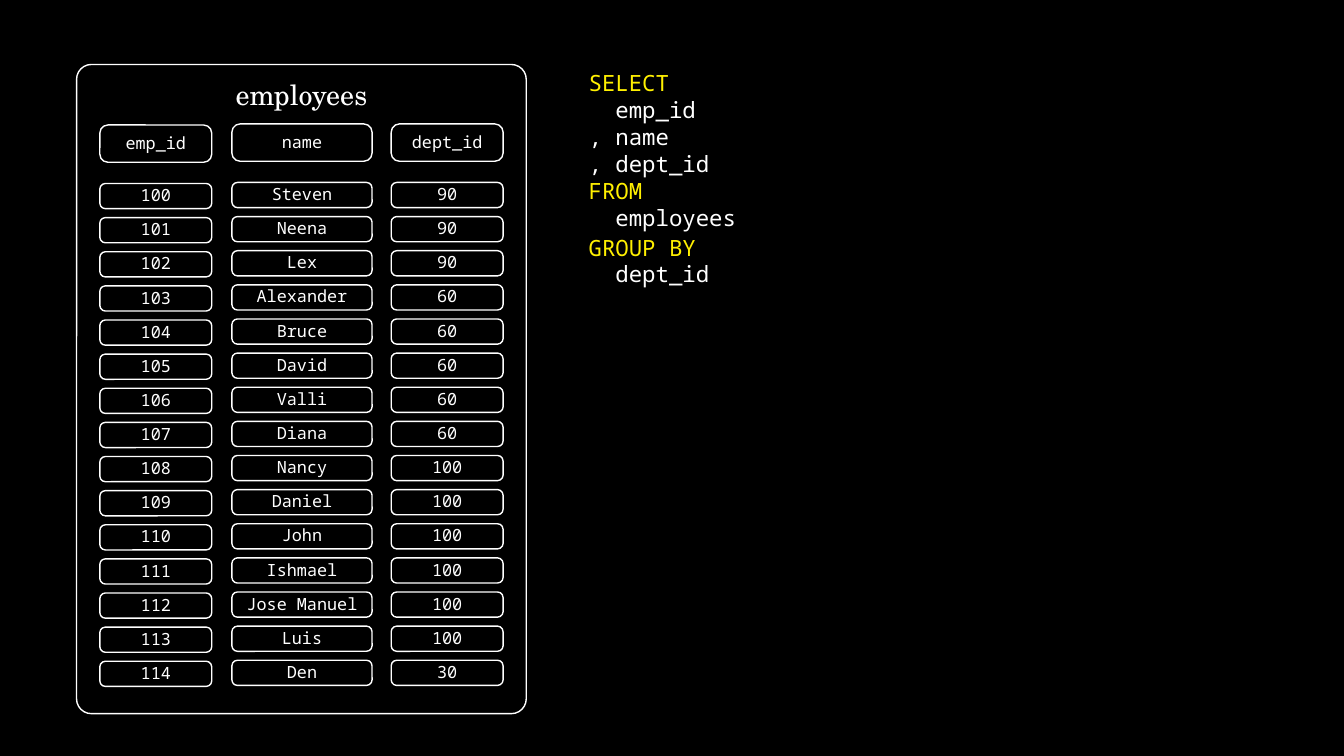
from pptx import Presentation
from pptx.dml.color import RGBColor
from pptx.enum.shapes import MSO_SHAPE
from pptx.enum.text import MSO_ANCHOR, MSO_AUTO_SIZE, PP_ALIGN
from pptx.util import Inches, Pt

ROUNDED = MSO_SHAPE.ROUNDED_RECTANGLE
TOP = MSO_ANCHOR.TOP
GROW = MSO_AUTO_SIZE.SHAPE_TO_FIT_TEXT
LEFT, CENTER = PP_ALIGN.LEFT, PP_ALIGN.CENTER

BLACK, WHITE, YELLOW = "000000", "FFFFFF", "FFF000"
SERIF, MONO = "TeX Gyre Schola", "Noto Sans Mono"


def color(hex_value):
    return RGBColor.from_string(hex_value)


def write(paragraph, text, size=12, font=MONO, ink=WHITE, align=LEFT):
    """Add one formatted run to a paragraph."""
    paragraph.alignment = align
    run = paragraph.add_run()
    run.text = text
    run.font.size = Pt(size)
    run.font.name = font
    run.font.color.rgb = color(ink)


class QuerySlide:
    LABEL_HEIGHT = 0.3
    CELL_CORNER = 0.219

    def __init__(self, presentation):
        self.slide = presentation.slides.add_slide(presentation.slide_layouts[5])
        background = self.slide.background.fill
        background.solid()
        background.fore_color.rgb = color(BLACK)

    def prepare(self, holder):
        frame = holder.text_frame
        frame.word_wrap = True
        frame.auto_size = GROW
        frame.vertical_anchor = TOP
        return frame

    def title(self, text, left, top, width, height):
        heading = self.slide.shapes.title
        heading.left, heading.top = Inches(left), Inches(top)
        heading.width, heading.height = Inches(width), Inches(height)
        frame = self.prepare(heading)
        write(frame.paragraphs[0], text, size=20, font=SERIF, align=CENTER)

    def text_box(self, left, top, width, height):
        return self.prepare(self.slide.shapes.add_textbox(
            Inches(left), Inches(top), Inches(width), Inches(height)))

    def outline(self, left, top, width, height, corner):
        frame = self.slide.shapes.add_shape(
            ROUNDED, Inches(left), Inches(top), Inches(width), Inches(height))
        frame.adjustments[0] = corner
        frame.shadow.inherit = False
        frame.fill.background()
        frame.line.color.rgb = color(WHITE)
        frame.line.width = Pt(1)

    def cell(self, text, left, top, width, height, label_width):
        label_left = left + (width - label_width) / 2
        label_top = top + (height - self.LABEL_HEIGHT) / 2 - 0.01
        label = self.text_box(label_left, label_top, label_width, self.LABEL_HEIGHT)
        write(label.paragraphs[0], text, align=CENTER)
        self.outline(left, top, width, height, self.CELL_CORNER)

    def code(self, lines, left, top, width, height):
        frame = self.text_box(left, top, width, height)
        for index, (text, ink) in enumerate(lines):
            paragraph = frame.add_paragraph() if index else frame.paragraphs[0]
            write(paragraph, text, size=16, ink=ink)


# Table content: header, left, width, label width, vertical shift, values
NAMES = ["Steven", "Neena", "Lex", "Alexander", "Bruce", "David", "Valli", "Diana",
         "Nancy", "Daniel", "John", "Ishmael", "Jose Manuel", "Luis", "Den"]
EMP_IDS = range(100, 100 + len(NAMES))
DEPT_IDS = [90] * 3 + [60] * 5 + [100] * 6 + [30]
COLUMNS = [
    ("emp_id", 0.99, 1.11, 1.19, 0.01, EMP_IDS),
    ("dept_id", 3.88, 1.11, 1.19, 0, DEPT_IDS),
    ("name", 2.3, 1.39, 1.31, 0, NAMES),
]
HEADER_TOP, HEADER_HEIGHT = 1.23, 0.37
FIRST_ROW, LAST_ROW, ROW_HEIGHT = 1.81, 6.55, 0.25
ROW_PITCH = (LAST_ROW - FIRST_ROW) / (len(NAMES) - 1)

# Query content
SELECT_FROM = [("SELECT", YELLOW), ("  emp_id", WHITE), (", name", WHITE),
               (", dept_id", WHITE), ("FROM", YELLOW), ("  employees", WHITE)]
GROUP_BY = [("GROUP BY", YELLOW), ("  dept_id", WHITE)]


def main():
    presentation = Presentation()
    presentation.slide_width = Inches(13.33)
    presentation.slide_height = Inches(7.5)
    page = QuerySlide(presentation)

    # Employees table
    page.outline(0.76, 0.64, 4.46, 6.44, 0.033)
    page.title("employees", 0.76, 0.72, 4.46, 0.44)
    for header, left, width, label_width, shift, values in COLUMNS:
        page.cell(header, left, HEADER_TOP + shift, width, HEADER_HEIGHT, label_width)
        for row, value in enumerate(values):
            row_top = FIRST_ROW + shift + row * ROW_PITCH
            page.cell(str(value), left, row_top, width, ROW_HEIGHT, label_width)

    # SQL query
    page.code(SELECT_FROM, 5.74, 0.64, 6.83, 1.72)
    page.code(GROUP_BY, 5.74, 2.27, 6.83, 0.64)

    presentation.save("out.pptx")


if __name__ == "__main__":
    main()
